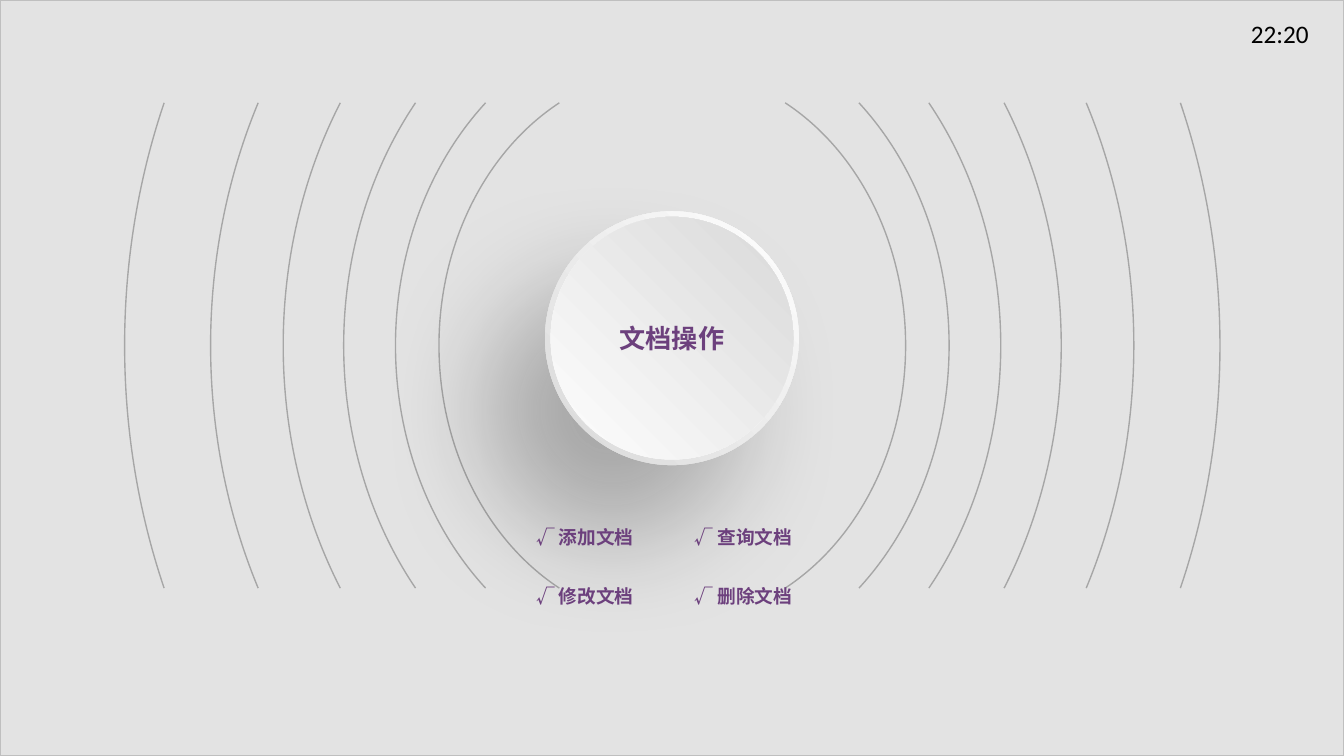
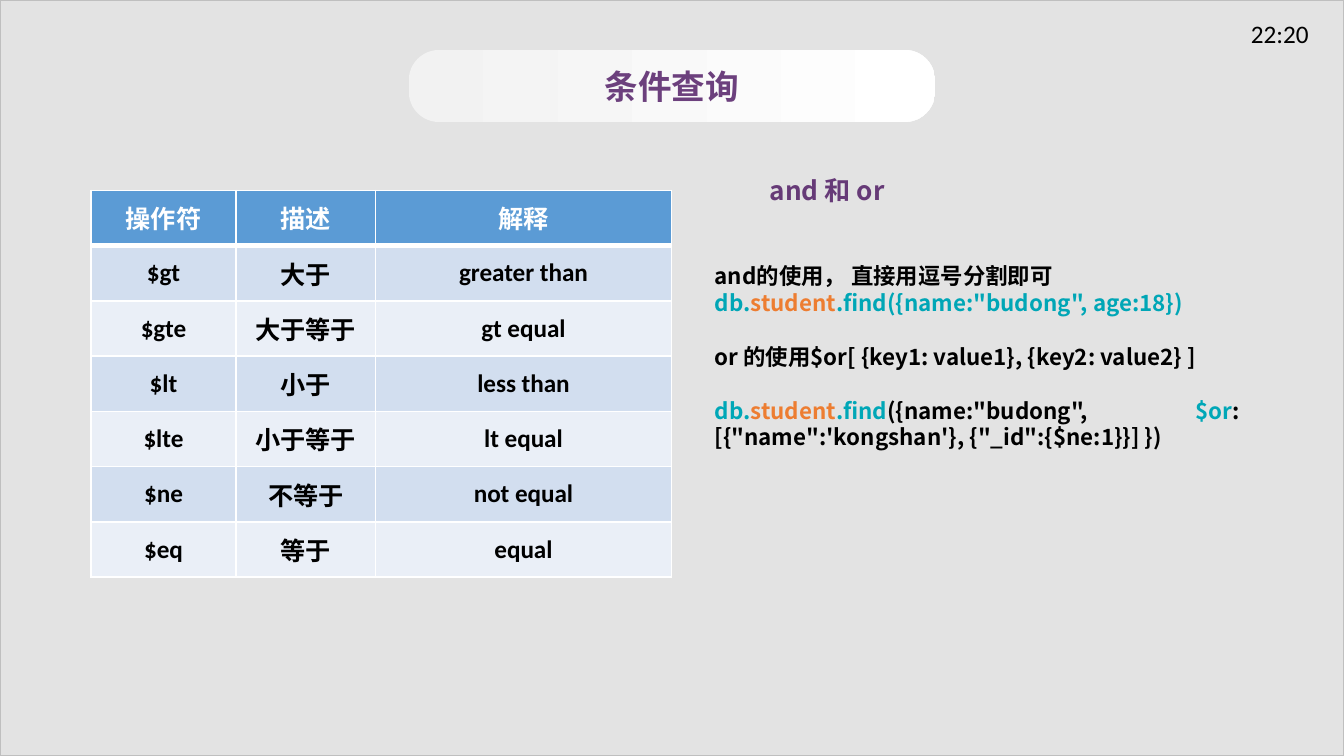
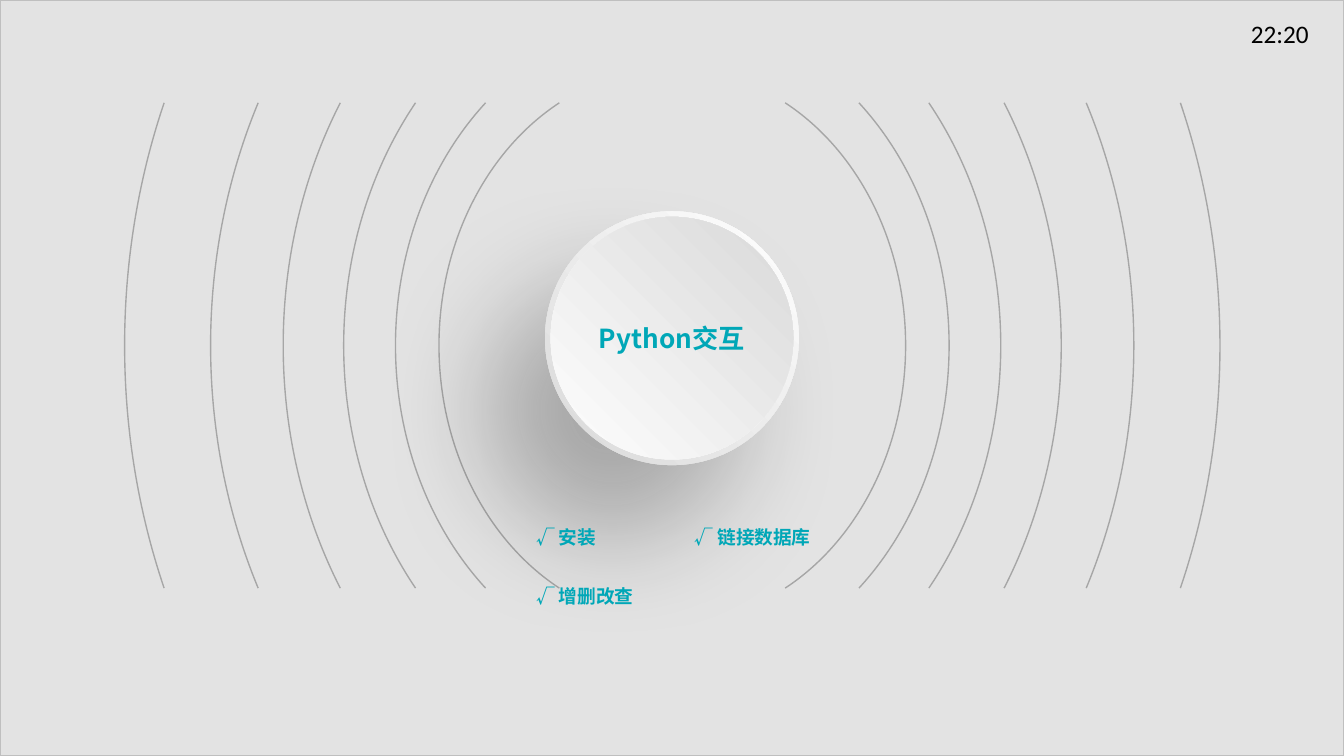
import math
import lxml.etree
import pptx
import pptx.dml.color
import pptx.enum.shapes
import pptx.enum.text
import pptx.oxml.ns
import pptx.util

Pt = pptx.util.Pt
qn = pptx.oxml.ns.qn
rgb = pptx.dml.color.RGBColor.from_string
SHAPE = pptx.enum.shapes.MSO_SHAPE
ALIGN = pptx.enum.text.PP_ALIGN
MIDDLE = pptx.enum.text.MSO_ANCHOR.MIDDLE
GROW = pptx.enum.text.MSO_AUTO_SIZE.SHAPE_TO_FIT_TEXT

COLORS = {
    "purple": "6C407D", "plum": "663A77", "teal": "00A7B7", "query": "00A6B6",
    "orange": "ED7D31", "black": "000000", "white": "FFFFFF", "veil": "808080",
    "edge": "BFBFBF", "ripple": "A6A6A6", "silver": "D9D9D9", "pearl": "FEFEFE",
    "mist": "F2F2F2", "header": "5B9BD5", "odd": "D2DEEF", "even": "EAEFF7",
}
CJK = "Noto Sans CJK SC"
FONTS = {
    "clock": {"name": "Calibri", "size": Pt(13.5)},
    "hub": {"name": CJK, "size": Pt(14), "bold": True},
    "topic": {"name": CJK, "size": Pt(10), "bold": True},
    "title": {"name": CJK, "size": Pt(18), "bold": True},
    "code": {"name": CJK, "size": Pt(12), "bold": True},
    "cell": {"name": "Calibri", "size": Pt(13.5), "bold": True},
}
LAYOUTS = {
    "clock": {"word_wrap": False, "auto_size": GROW},
    "plain": {"word_wrap": True, "auto_size": GROW},
    "topic": {"word_wrap": True, "auto_size": GROW, "margin_left": Pt(5), "margin_right": Pt(5),
              "margin_top": Pt(2.2), "margin_bottom": Pt(2.2)},
    "hub": {"word_wrap": True, "vertical_anchor": MIDDLE, "margin_left": 0, "margin_right": 0},
    "title": {"word_wrap": True, "vertical_anchor": MIDDLE},
    "cell": {"vertical_anchor": MIDDLE, "margin_left": Pt(10), "margin_right": Pt(10),
             "margin_top": Pt(4.3), "margin_bottom": Pt(4.3)},
}


def write(holder, frame, kind, lines, layout=None, **paragraph_format):
    for key, value in LAYOUTS[layout or kind].items():
        setattr(holder, key, value)
    for index, pieces in enumerate(lines):
        paragraph = frame.add_paragraph() if index else frame.paragraphs[0]
        for key, value in paragraph_format.items():
            setattr(paragraph, key, value)
        for words, color in pieces:
            run = paragraph.add_run()
            run.text = words
            for key, value in FONTS[kind].items():
                setattr(run.font, key, value)
            run.font.color.rgb = rgb(COLORS[color])
            latin = run.font._element.find(qn("a:latin"))
            latin.addnext(latin.makeelement(qn("a:ea"), {"typeface": CJK}))


def shade(shape, first, last, end, radial):
    shape.shadow.inherit = False
    shape.line.fill.background()
    shape.fill.gradient()
    shape.fill.gradient_angle = 0
    for stop, color, position in zip(shape.fill.gradient_stops, (first, last), (0, end)):
        stop.color.rgb = rgb(COLORS[color])
        stop.position = position
    if radial:
        gradient = shape.element.spPr.find(qn("a:gradFill"))
        gradient.remove(gradient.find(qn("a:lin")))
        glow = lxml.etree.SubElement(gradient, qn("a:path"), {"path": "circle"})
        lxml.etree.SubElement(glow, qn("a:fillToRect"), {"l": "100000", "b": "100000"})


deck = pptx.Presentation()
deck.slide_width, deck.slide_height = Pt(720), Pt(405)
operations, conditions, interaction = [deck.slides.add_slide(deck.slide_layouts[6]) for _ in range(3)]

backdrop = operations.shapes.add_shape(SHAPE.RECTANGLE, 0, 0, Pt(720), Pt(405))
backdrop.shadow.inherit = False
backdrop.fill.solid()
backdrop.fill.fore_color.rgb = rgb(COLORS["veil"])
veil = backdrop.element.spPr.find(qn("a:solidFill"))[0]
lxml.etree.SubElement(veil, qn("a:alpha"), {"val": "22000"})
backdrop.line.color.rgb = rgb(COLORS["edge"])
backdrop.line.width = Pt(1)
clock = operations.shapes.add_textbox(Pt(663.1), Pt(6.5), Pt(48.2), Pt(20.2))
write(clock.text_frame, clock.text_frame, "clock", [[("22:20", "black")]])
for shared in (backdrop, clock):
    deck.slide_master.shapes.element.append(shared.element)

MID_X, MID_Y, HALF_HEIGHT = 360.15, 185.1, 130
RIPPLES = [(125, 60.5), (148.3, 100), (176, 137.5), (208.4, 177.8), (247.3, 221.8), (293.4, 272.2)]
HUBS = [
    (operations, "文档操作", "purple", ["添加文档", "查询文档", "修改文档", "删除文档"]),
    (interaction, "Python交互", "teal", ["安装", "链接数据库", "增删改查"]),
]
for slide, heading, color, topics in HUBS:
    for reach, tip in RIPPLES:
        sweep = math.acos(tip / reach)
        radius = HALF_HEIGHT / math.sin(sweep)
        pull = math.tan(sweep / 4) * 4 / 3
        bend_x = tip + pull * reach * math.sin(sweep)
        bend_y = HALF_HEIGHT - pull * radius * math.cos(sweep)
        arc = [(tip, -HALF_HEIGHT), (bend_x, -bend_y), (reach, -pull * radius), (reach, 0),
               (reach, pull * radius), (bend_x, bend_y), (tip, HALF_HEIGHT)]
        right = [(Pt(MID_X + x), Pt(MID_Y + y)) for x, y in arc]
        left = [(Pt(MID_X - x), Pt(MID_Y - y)) for x, y in arc]
        outline = slide.shapes.build_freeform(*right[0])
        outline.add_line_segments(right[1:], close=False)
        outline.move_to(*left[0])
        outline.add_line_segments(left[1:], close=False)
        ripple = outline.convert_to_shape()
        segments = list(ripple.element.iter(qn("a:lnTo")))
        for start in range(0, len(segments), 3):
            curve = segments[start].makeelement(qn("a:cubicBezTo"), {})
            segments[start].addprevious(curve)
            for segment in segments[start:start + 3]:
                curve.append(segment[0])
                segment.getparent().remove(segment)
        ripple.shadow.inherit = False
        ripple.fill.background()
        ripple.line.color.rgb = rgb(COLORS["ripple"])
        ripple.line.width = Pt(0.75)

    button = slide.shapes.add_group_shape()
    rim = button.shapes.add_shape(SHAPE.OVAL, Pt(292), Pt(113.2), Pt(136), Pt(136))
    shade(rim, "white", "silver", 1, True)
    cast = lxml.etree.SubElement(
        rim.element.spPr.find(qn("a:effectLst")), qn("a:outerShdw"),
        {"blurRad": str(Pt(60)), "dist": str(Pt(50)), "dir": str(130 * 60000), "algn": "ctr", "rotWithShape": "0"})
    tint = lxml.etree.SubElement(cast, qn("a:srgbClr"), {"val": COLORS["black"]})
    lxml.etree.SubElement(tint, qn("a:alpha"), {"val": "25000"})
    face = button.shapes.add_shape(SHAPE.OVAL, Pt(295), Pt(116.2), Pt(130), Pt(130))
    shade(face, "silver", "pearl", 1, True)
    write(face.text_frame, face.text_frame, "hub", [[(heading, color)]], alignment=ALIGN.CENTER)

    for index, topic in enumerate(topics):
        row, column = divmod(index, 2)
        label = slide.shapes.add_textbox(
            Pt(282.2 + 85 * column), Pt(279.4 + 31.6 * row), Pt(80.6 - 2.8 * column), Pt(17.3))
        write(label.text_frame, label.text_frame, "topic", [[("√ " + topic, color)]])

banner = conditions.shapes.add_shape(SHAPE.ROUNDED_RECTANGLE, Pt(219), Pt(26.8), Pt(282), Pt(38.6))
banner.adjustments[0] = 0.42
shade(banner, "mist", "white", 0.99, False)
write(banner.text_frame, banner.text_frame, "title", [[("条件查询", "purple")]], alignment=ALIGN.CENTER)

subtitle = conditions.shapes.add_textbox(Pt(405.2), Pt(90), Pt(94.3), Pt(24.5))
write(subtitle.text_frame, subtitle.text_frame, "hub", [[("and 和 or", "plum")]], "plain")

usage = conditions.shapes.add_textbox(Pt(375.8), Pt(137), Pt(295.2), Pt(108.7))
write(usage.text_frame, usage.text_frame, "code", [
    [("and的使用， 直接用逗号分割即可", "black")],
    [("db.", "query"), ("student", "orange"), ('.find({name:"budong", age:18})', "query")],
    [("or 的使用$or[ {key1: value1}, {key2: value2} ]", "black")],
    [("db.", "teal"), ("student", "orange"), (".find", "teal"), ('({name:"budong", ', "black"),
     ("$or", "teal"), (""":[{"name":'kongshan'}, {"_id":{$ne:1}}] })""", "black")],
], "plain", alignment=ALIGN.JUSTIFY, line_spacing=Pt(14.4))
for paragraph in usage.text_frame.paragraphs[2:]:
    paragraph.space_before = Pt(14.4)

OPERATORS = [
    ("操作符", "描述", "解释"),
    ("$gt", "大于", "greater than"),
    ("$gte", "大于等于", "gt equal"),
    ("$lt", "小于", "less than"),
    ("$lte", "小于等于", "lt equal"),
    ("$ne", "不等于", "not equal"),
    ("$eq", "等于", "equal"),
]
operators = conditions.shapes.add_table(len(OPERATORS), 3, Pt(48.7), Pt(102), Pt(311), Pt(207.2)).table
for column, width in zip(operators.columns, (77.8, 74.8, 158.4)):
    column.width = Pt(width)
for r, entries in enumerate(OPERATORS):
    operators.rows[r].height = Pt(29.6)
    fill = "header" if r == 0 else "odd" if r % 2 else "even"
    borders = {"lnL": 1, "lnR": 1, "lnT": 3 if r == 1 else 1, "lnB": 3 if r == 0 else 1}
    for c, entry in enumerate(entries):
        cell = operators.cell(r, c)
        write(cell, cell.text_frame, "cell", [[(entry, "black" if r else "white")]], alignment=ALIGN.CENTER)
        cell.fill.solid()
        cell.fill.fore_color.rgb = rgb(COLORS[fill])
        properties = cell._tc.get_or_add_tcPr()
        for place, (side, width) in enumerate(borders.items()):
            border = properties.makeelement(qn("a:" + side), {"w": str(Pt(width))})
            properties.insert(place, border)
            paint = lxml.etree.SubElement(border, qn("a:solidFill"))
            lxml.etree.SubElement(paint, qn("a:srgbClr"), {"val": COLORS["white"]})

deck.save("out.pptx")
